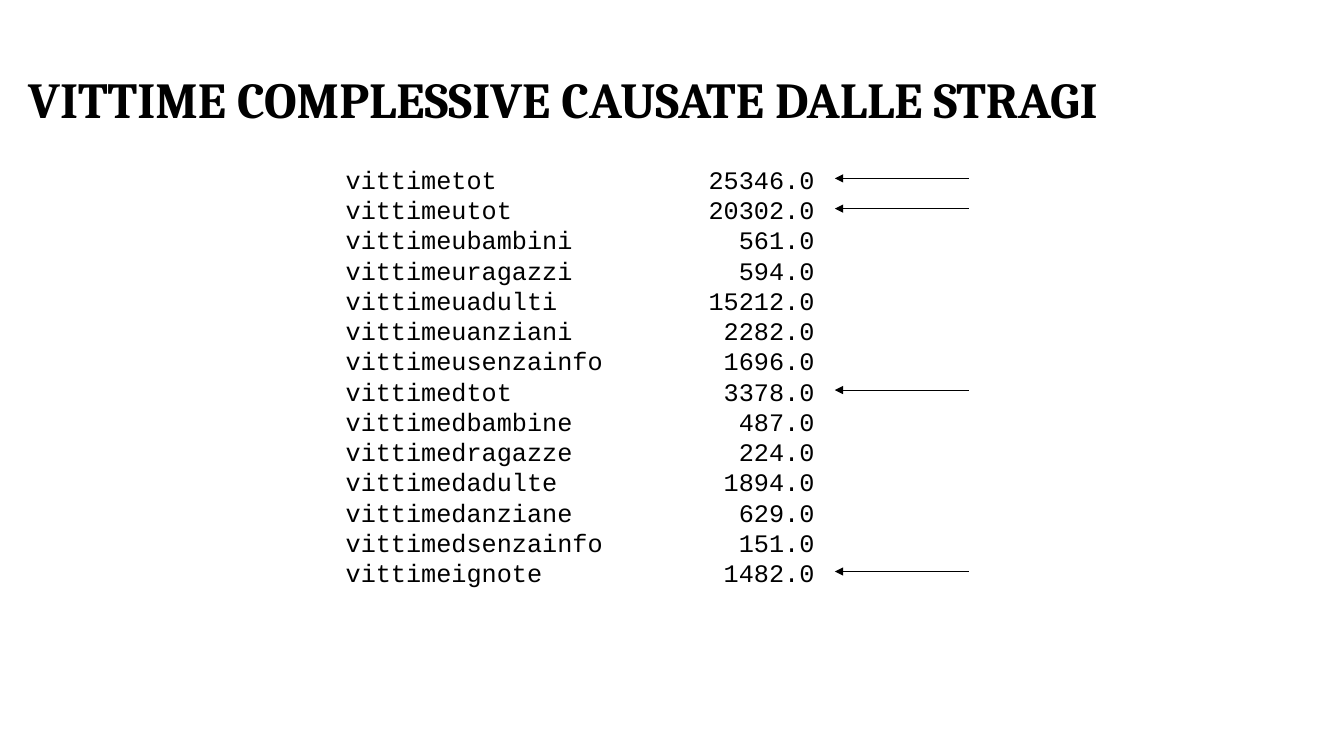
from lxml.etree import SubElement
from pptx import Presentation
from pptx.dml.color import RGBColor
from pptx.enum.shapes import MSO_CONNECTOR
from pptx.enum.text import MSO_ANCHOR, MSO_AUTO_SIZE, PP_ALIGN
from pptx.oxml.ns import qn
from pptx.util import Inches, Pt

COLORS = {"ink": "000000", "page": "FFFFFF"}
TITLE = {"name": "Cambria", "size": Pt(36), "bold": True}
BODY = {"name": "Courier New", "size": Pt(18), "bold": False}
COUNTS = {
    "vittimetot": "25346.0",
    "vittimeutot": "20302.0",
    "vittimeubambini": "561.0",
    "vittimeuragazzi": "594.0",
    "vittimeuadulti": "15212.0",
    "vittimeuanziani": "2282.0",
    "vittimeusenzainfo": "1696.0",
    "vittimedtot": "3378.0",
    "vittimedbambine": "487.0",
    "vittimedragazze": "224.0",
    "vittimedadulte": "1894.0",
    "vittimedanziane": "629.0",
    "vittimedsenzainfo": "151.0",
    "vittimeignote": "1482.0",
}
TOTALS = ("vittimetot", "vittimeutot", "vittimedtot", "vittimeignote")
TAB = 4.65
ROW_TOP, ROW_STEP = 1.77, 0.3


def color(key):
    return RGBColor.from_string(COLORS[key])


def place(shape, left, top, width, height):
    box = {"left": left, "top": top, "width": width, "height": height}
    for key, value in box.items():
        setattr(shape, key, Inches(value))


def style(font, form):
    for key, value in form.items():
        setattr(font, key, value)
    font.color.rgb = color("ink")


def set_frame(frame):
    form = {"word_wrap": True, "vertical_anchor": MSO_ANCHOR.TOP,
            "auto_size": MSO_AUTO_SIZE.NONE}
    for key, value in form.items():
        setattr(frame, key, value)


def add_title(slide, text):
    title = slide.shapes.title
    place(title, 0.18, 0.63, 12.96, 0.71)
    set_frame(title.text_frame)
    para = title.text_frame.paragraphs[0]
    para.alignment = PP_ALIGN.LEFT
    run = para.add_run()
    run.text = text
    style(run.font, TITLE)


def add_counts(slide):
    """List each name with its count aligned at a right tab stop."""
    box = slide.shapes.add_textbox(0, 0, 0, 0)
    place(box, 3.33, 1.58, 6.67, 4.34)
    frame = box.text_frame
    set_frame(frame)
    frame.text = "\n".join(f"{name}\t{count}" for name, count in COUNTS.items())
    for para in frame.paragraphs:
        stops = SubElement(para._p.get_or_add_pPr(), qn("a:tabLst"))
        SubElement(stops, qn("a:tab"), pos=str(Inches(TAB)), algn="r")
        style(para.runs[0].font, BODY)


def add_arrow(slide, row):
    y = Inches(ROW_TOP + row * ROW_STEP)
    arrow = slide.shapes.add_connector(
        MSO_CONNECTOR.STRAIGHT, Inches(9.61), y, Inches(8.28), y)
    arrow.line.color.rgb = color("ink")
    arrow.line.width = Pt(0.5)
    SubElement(arrow.line._get_or_add_ln(), qn("a:tailEnd"), type="triangle")
    SubElement(arrow._element.spPr, qn("a:effectLst"))


def main():
    deck = Presentation()
    deck.slide_width, deck.slide_height = Inches(13.33), Inches(7.5)
    slide = deck.slides.add_slide(deck.slide_layouts[5])
    fill = slide.background.fill
    fill.solid()
    fill.fore_color.rgb = color("page")
    add_title(slide, "VITTIME COMPLESSIVE CAUSATE DALLE STRAGI")
    add_counts(slide)
    for row, name in enumerate(COUNTS):
        if name in TOTALS:
            add_arrow(slide, row)
    deck.save("out.pptx")


if __name__ == "__main__":
    main()
